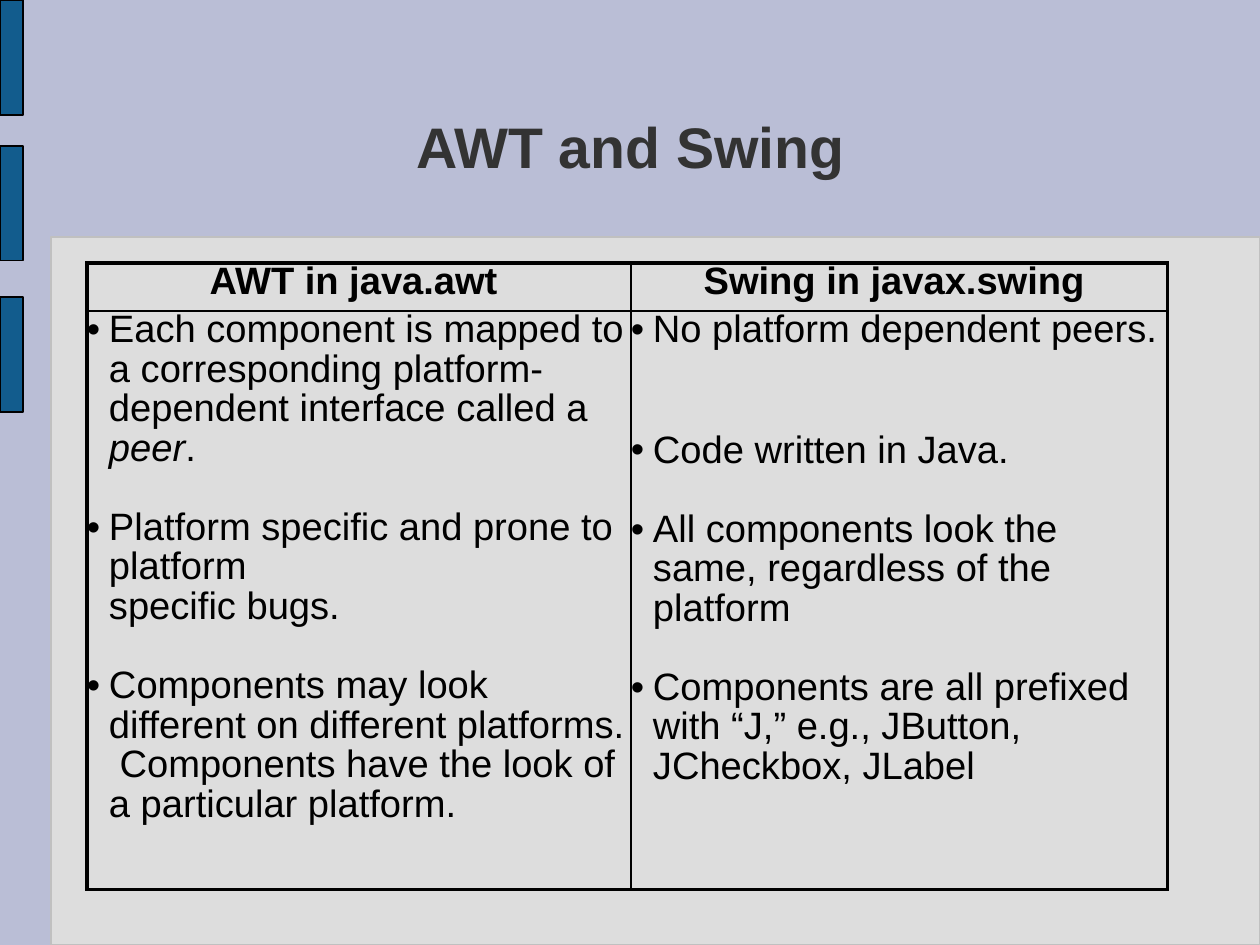
from lxml.etree import SubElement
from pptx import Presentation
from pptx.dml.color import RGBColor
from pptx.enum.shapes import MSO_SHAPE
from pptx.enum.text import MSO_ANCHOR, MSO_AUTO_SIZE, PP_ALIGN
from pptx.oxml import parse_xml
from pptx.oxml.ns import nsdecls, qn
from pptx.util import Pt

PX = 8000  # EMU per px
WIDTH, HEIGHT = 1260, 945
LINE_SPACING = 0.93
OUTER, INNER = 2.25, 1
BLANK_LINE = 25  # points

HEADINGS = ["AWT in java.awt ", "Swing in javax.swing "]
# Each point: its pieces as (text, format), then the gap below it in points.
AWT_POINTS = [
    ([("Each component is mapped to a corresponding platform-dependent "
       "interface called a ", {}), ("peer", {"italic": True}), (".", {})],
     BLANK_LINE),
    ([("Platform specific and prone to platform\nspecific bugs.", {})],
     BLANK_LINE),
    ([("Components may look different on different platforms.  Components "
       "have the look of a particular platform.", {})], 0),
]
SWING_POINTS = [
    ([("No platform dependent peers.", {})], 51),
    ([("Code written in Java.", {})], BLANK_LINE),
    ([("All components look the same, regardless of the platform", {})],
     BLANK_LINE),
    ([("Components are all prefixed with “J,” e.g., JButton, JCheckbox, "
       "JLabel", {})], 0),
]


def color(hex_code):
    return RGBColor.from_string(hex_code)


def emu(*lengths):
    return [length * PX for length in lengths]


def write(paragraph, text, size=24, bold=False, italic=False, ink="000000"):
    """Append text to the paragraph; a newline becomes a line break."""
    paragraph.line_spacing = LINE_SPACING
    for number, line in enumerate(text.split("\n")):
        if number:
            paragraph.add_line_break()
        run = paragraph.add_run()
        run.text = line
        font = run.font
        font.name, font.size = "Arial", Pt(size)
        font.bold, font.italic = bold, italic
        font.color.rgb = color(ink)


def add_block(slide, box, fill, line):
    block = slide.shapes.add_shape(MSO_SHAPE.RECTANGLE, *emu(*box))
    block.shadow.inherit = False
    block.fill.solid()
    block.fill.fore_color.rgb = color(fill)
    block.line.color.rgb = color(line)
    block.line.width = Pt(0.75)


def add_backdrop(slide, box):
    """Draw the grey panel and the side bars on the coloured page."""
    left, top, width, height = box
    slide.background.fill.solid()
    slide.background.fill.fore_color.rgb = color("BABED6")
    add_block(slide, (left + 51, top + 237, width - 51, height - 237),
              "DDDDDD", "C0C0C0")
    for bar_top in (0, 146, 297):
        add_block(slide, (left, top + bar_top, 23, 115), "125C8D", "000000")


def add_title(slide, box, text):
    title = slide.shapes.title
    title.left, title.top, title.width, title.height = emu(*box)
    frame = title.text_frame
    frame.auto_size = MSO_AUTO_SIZE.NONE
    frame.word_wrap = True
    frame.vertical_anchor = MSO_ANCHOR.MIDDLE
    frame.margin_left = frame.margin_right = 0
    frame.margin_top = frame.margin_bottom = 0
    heading = frame.paragraphs[0]
    heading.alignment = PP_ALIGN.CENTER
    write(heading, text, size=36, bold=True, ink="333333")


def add_bullet(paragraph):
    properties = paragraph._p.get_or_add_pPr()
    properties.set("marL", str(22 * PX))
    properties.set("indent", str(-22 * PX))
    bullet_color = SubElement(properties, qn("a:buClr"))
    SubElement(bullet_color, qn("a:srgbClr"), val="000000")
    SubElement(properties, qn("a:buFont"), typeface="Arial")
    SubElement(properties, qn("a:buChar"), char="•")


def format_cell(cell, row, column):
    """Clear fill and margins; edges of the table get the thick line."""
    cell.margin_left = cell.margin_right = 0
    cell.margin_top = cell.margin_bottom = 0
    cell.fill.background()
    at_edge = {"L": column == 0, "R": column == 1, "T": row == 0, "B": row == 1}
    for order, (side, outer) in enumerate(at_edge.items()):
        weight = Pt(OUTER if outer else INNER)
        border = parse_xml(
            f'<a:ln{side} {nsdecls("a")} w="{weight}"><a:solidFill>'
            f'<a:srgbClr val="000000"/></a:solidFill></a:ln{side}>')
        cell._tc.get_or_add_tcPr().insert(order, border)


def fill_points(cell, points):
    frame = cell.text_frame
    for number, (pieces, gap) in enumerate(points):
        point = frame.add_paragraph() if number else frame.paragraphs[0]
        for text, style in pieces:
            write(point, text, **style)
        point.space_after = Pt(gap)
        add_bullet(point)


def add_comparison(slide, box):
    left, top, width, height = box
    table = slide.shapes.add_table(2, 2, *emu(left, top, width, height)).table
    table.first_row = table.horz_banding = False
    first_width, header_height = 544, 48
    widths = emu(first_width, width - first_width)
    heights = emu(header_height, height - header_height)
    for index in range(2):
        table.columns[index].width = widths[index]
        table.rows[index].height = heights[index]
    for column, points in enumerate((AWT_POINTS, SWING_POINTS)):
        for row in range(2):
            format_cell(table.cell(row, column), row, column)
        heading = table.cell(0, column).text_frame.paragraphs[0]
        heading.alignment = PP_ALIGN.CENTER
        write(heading, HEADINGS[column], bold=True)
        fill_points(table.cell(1, column), points)


def main():
    deck = Presentation()
    deck.slide_width, deck.slide_height = emu(WIDTH, HEIGHT)
    slide = deck.slides.add_slide(deck.slide_layouts[5])
    add_backdrop(slide, (0, 0, WIDTH, HEIGHT))
    add_title(slide, (93, 70, 1075, 158), "AWT and Swing")
    add_comparison(slide, (87, 263, 1081, 627))
    deck.save("out.pptx")


if __name__ == "__main__":
    main()
